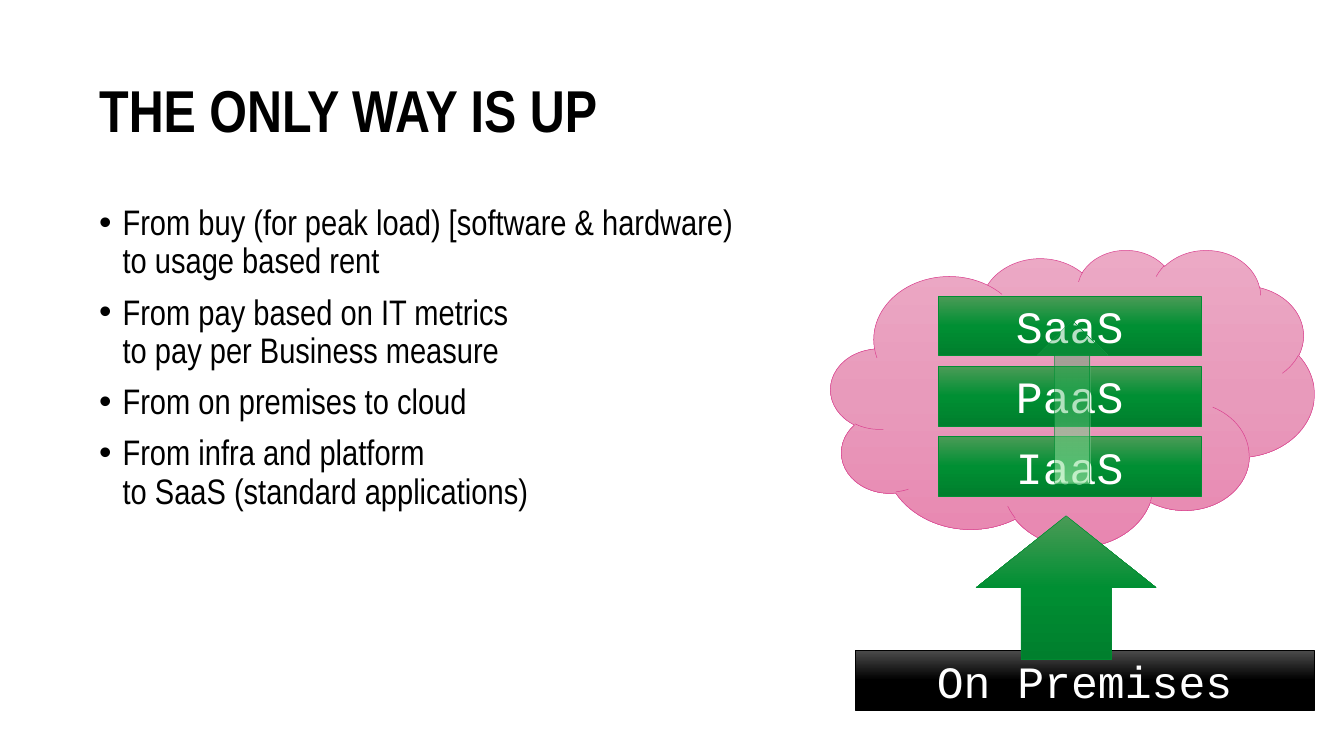
import dataclasses

import lxml.etree
import pptx
import pptx.dml.color
import pptx.enum.shapes
import pptx.enum.text
import pptx.oxml.ns
import pptx.util

SHAPES = pptx.enum.shapes.MSO_SHAPE
ALIGN = pptx.enum.text.PP_ALIGN
ANCHOR = pptx.enum.text.MSO_ANCHOR
qualified = pptx.oxml.ns.qn


@dataclasses.dataclass(frozen=True)
class Theme:
    text_font: str = "Arial Narrow"
    box_font: str = "Courier New"
    title_size: float = 60
    body_size: float = 36
    box_size: float = 45.5
    text: str = "000000"
    box_text: str = "FFFFFF"
    pink_line: str = "DA4290"
    green_line: str = "008F33"
    black_line: str = "000000"
    # Gradient stops: position, colour, opacity (all positions in percent)
    pink: tuple = ((0, "ECA9C5", 100), (50, "E89ABB", 100), (100, "E887B1", 100))
    green: tuple = ((0, "4B9B57", 100), (50, "008F33", 100), (100, "007F2D", 100))
    black: tuple = ((0, "4B4B4B", 100), (50, "000000", 100), (100, "000000", 100))
    glass: tuple = ((0, "008F33", 26), (100, "A3EAAA", 63))


THEME = Theme()

BULLETS = [
    ["From buy (for peak load) [software & hardware) ", "to usage based rent"],
    ["From pay based on IT metrics ", "to pay per Business measure"],
    ["From on premises to cloud"],
    ["From infra and platform ", "to SaaS (standard applications)"],
]


def px(length):
    """Turn px (100 to the inch) into EMU."""
    return pptx.util.Emu(length * 9144)


def place(shape, left, top, width, height):
    shape.left, shape.top = px(left), px(top)
    shape.width, shape.height = px(width), px(height)


def add_run(paragraph, text, font, size, color, bold=False):
    run = paragraph.add_run()
    run.text = text
    run.font.name = font
    run.font.size = pptx.util.Pt(size)
    run.font.bold = bold
    run.font.color.rgb = pptx.dml.color.RGBColor.from_string(color)


def fill_title(title, text):
    place(title, 130, 57, 1636, 206)
    frame = title.text_frame
    frame.auto_size = pptx.enum.text.MSO_AUTO_SIZE.NONE
    frame.vertical_anchor = ANCHOR.MIDDLE
    paragraph = frame.paragraphs[0]
    paragraph.alignment = ALIGN.LEFT
    paragraph.line_spacing = 0.9
    add_run(paragraph, text, THEME.text_font, THEME.title_size, THEME.text, bold=True)


def set_bullet(paragraph, indent):
    properties = paragraph._p.get_or_add_pPr()
    properties.set("marL", str(px(indent)))
    properties.set("indent", str(-px(indent)))
    font = lxml.etree.SubElement(properties, qualified("a:buFont"))
    font.set("typeface", "Arial")
    bullet = lxml.etree.SubElement(properties, qualified("a:buChar"))
    bullet.set("char", "•")


def fill_body(body, bullets):
    place(body, 130, 284, 1636, 677)
    frame = body.text_frame
    frame.auto_size = pptx.enum.text.MSO_AUTO_SIZE.NONE
    for index, lines in enumerate(bullets):
        paragraph = frame.add_paragraph() if index else frame.paragraphs[0]
        paragraph.line_spacing = 0.9
        paragraph.space_before = pptx.util.Pt(13.3)
        set_bullet(paragraph, 33)
        for number, line in enumerate(lines):
            if number:
                paragraph.add_line_break()
            add_run(paragraph, line, THEME.text_font, THEME.body_size, THEME.text)


def set_gradient(shape, stops):
    """Fill from top to bottom with the given stops."""
    shape.fill.gradient()
    shape.fill.gradient_angle = 270
    stop_list = shape._element.spPr.find(".//" + qualified("a:gsLst"))
    for old_stop in list(stop_list):
        stop_list.remove(old_stop)
    for position, color, opacity in stops:
        stop = lxml.etree.SubElement(stop_list, qualified("a:gs"))
        stop.set("pos", str(position * 1000))
        value = lxml.etree.SubElement(stop, qualified("a:srgbClr"))
        value.set("val", color)
        if opacity < 100:
            alpha = lxml.etree.SubElement(value, qualified("a:alpha"))
            alpha.set("val", str(opacity * 1000))


def add_gradient_shape(slide, kind, box, stops, line_color):
    shape = slide.shapes.add_shape(kind, *[px(length) for length in box])
    shape.shadow.inherit = False
    set_gradient(shape, stops)
    shape.line.color.rgb = pptx.dml.color.RGBColor.from_string(line_color)
    shape.line.width = pptx.util.Pt(0.5)
    return shape


def add_label_box(slide, text, box, stops, line_color):
    shape = add_gradient_shape(slide, SHAPES.RECTANGLE, box, stops, line_color)
    frame = shape.text_frame
    frame.word_wrap = True
    frame.vertical_anchor = ANCHOR.MIDDLE
    paragraph = frame.paragraphs[0]
    paragraph.alignment = ALIGN.CENTER
    add_run(paragraph, text, THEME.box_font, THEME.box_size, THEME.box_text)


def main():
    presentation = pptx.Presentation()
    presentation.slide_width, presentation.slide_height = px(1896), px(1067)
    slide = presentation.slides.add_slide(presentation.slide_layouts[1])

    # Title and list
    fill_title(slide.shapes.title, "THE ONLY WAY IS UP")
    fill_body(slide.placeholders[1], BULLETS)

    # Cloud with its service layers, lowest first
    add_gradient_shape(slide, SHAPES.CLOUD, (1172, 352, 682, 419), THEME.pink, THEME.pink_line)
    for level, name in enumerate(["IaaS", "PaaS", "SaaS"]):
        box = (1324, 616 - level * 99, 370, 84)
        add_label_box(slide, name, box, THEME.green, THEME.green_line)

    # Starting point below the cloud
    add_label_box(slide, "On Premises", (1206, 918, 648, 84), THEME.black, THEME.black_line)

    # Arrows: into the cloud, then up through the layers
    for box, stops in [((1377, 728, 254, 203), THEME.green), ((1463, 452, 99, 230), THEME.glass)]:
        add_gradient_shape(slide, SHAPES.UP_ARROW, box, stops, THEME.green_line)

    presentation.save("out.pptx")


if __name__ == "__main__":
    main()
